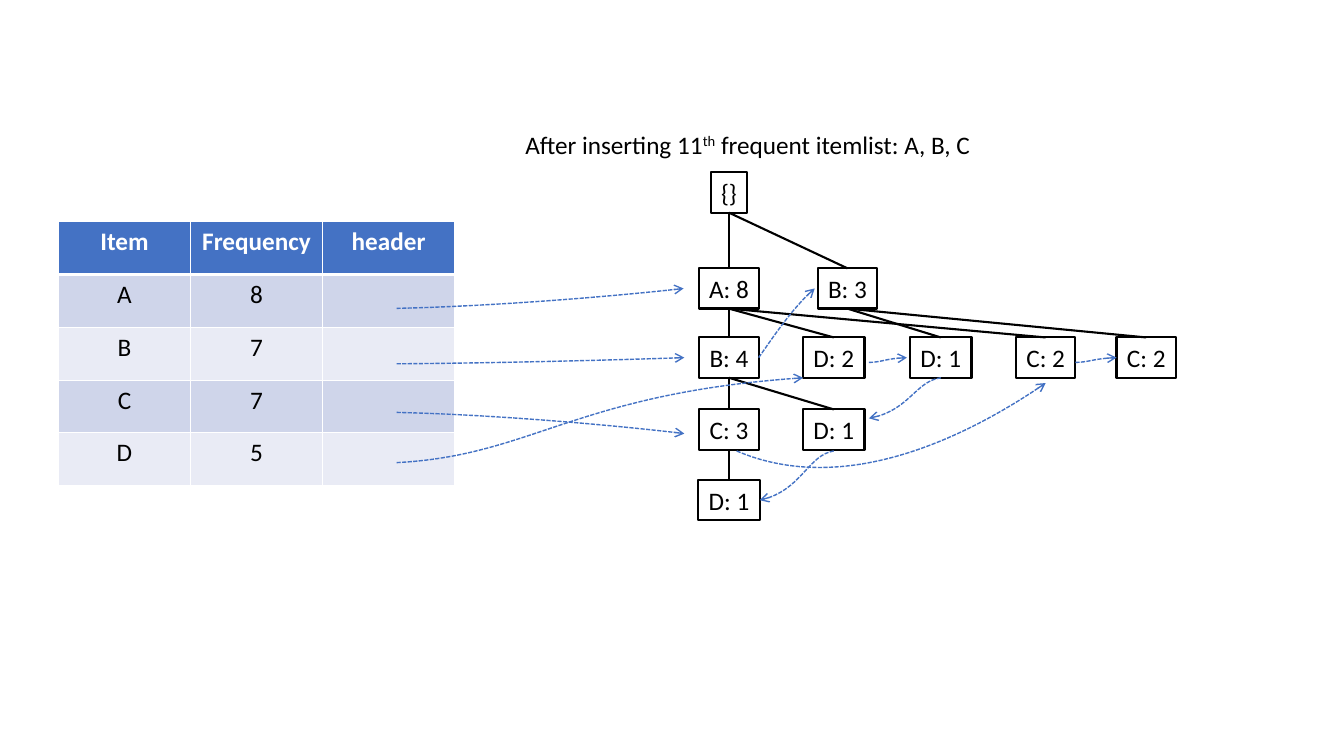
from collections import namedtuple

from lxml.etree import SubElement
from pptx import Presentation
from pptx.dml.color import RGBColor
from pptx.enum.dml import MSO_LINE
from pptx.enum.shapes import MSO_CONNECTOR
from pptx.enum.text import MSO_ANCHOR, MSO_AUTO_SIZE, PP_ALIGN
from pptx.oxml.ns import qn
from pptx.util import Inches, Pt

Box = namedtuple("Box", "left top width height")

BLACK, WHITE, BLUE = "000000", "FFFFFF", "4472C4"
BANDS = ("CFD5EA", "E9EBF5")
TOP, BOTTOM = 0, 2  # connection sites of a rectangle

CAPTION_BOX = Box(5.11, 1.23, 4.69, 0.4)
TABLE_BOX = Box(0.58, 2.2, 3.93, 2.62)
TREE_BOX = Box(6.93, 1.71, 4.74, 3.45)

FREQUENCIES = [("Item", "Frequency", "header"),
               ("A", "8", ""), ("B", "7", ""), ("C", "7", ""), ("D", "5", "")]

# Tree grid: distance between columns and rows, and node sizes by first letter
COLUMN, ROW, NODE_HEIGHT = 1.04, 0.7, 0.4
NODE_WIDTHS = {"{": 0.36, "A": 0.6, "B": 0.59, "C": 0.59, "D": 0.61}
# item path: (label, column, row, parent)
NODES = {
    "root": ("{}", 0, 0, None),
    "A": ("A: 8", 0, 1.36, "root"), "B": ("B: 3", 1.13, 1.36, "root"),
    "AB": ("B: 4", 0, 2.34, "A"), "AD": ("D: 2", 1, 2.34, "A"),
    "BD": ("D: 1", 2.02, 2.34, "B"), "AC": ("C: 2", 3.02, 2.34, "A"),
    "BC": ("C: 2", 3.98, 2.34, "B"),
    "ABC": ("C: 3", 0, 3.36, "AB"), "ABD": ("D: 1", 1, 3.36, "AB"),
    "ABCD": ("D: 1", 0, 4.36, "ABC"),
}

# Control points as shares of the way from start to end
S_BEND = ((0.33, 0.08), (0.44, 0.82))
SLIGHT_BEND = ((0.33, 0.1), (0.77, 0.62))
STEEP_BEND = ((0.22, 0.25), (0.6, 0.72))
DEEP_BEND = ((0.36, -0.7), (0.79, 0.34))

# (row within the table, node, share of the node's box, bend)
HEADER_LINKS = [
    (1.64, "A", (-0.25, 0.5), SLIGHT_BEND), (2.69, "AB", (-0.25, 0.5), SLIGHT_BEND),
    (3.61, "ABC", (-0.25, 0.6), SLIGHT_BEND), (4.56, "AD", (0, 1), S_BEND),
]
# (node, share of its box, next node, share of its box, bend)
ITEM_LINKS = [
    ("AB", (1, 0.5), "B", (-0.05, 0.5), STEEP_BEND),
    ("ABC", (0.63, 1.03), "AC", (0.5, 1.13), DEEP_BEND),
    ("AC", (1, 0.62), "BC", (0, 0.5), S_BEND),
    ("AD", (1.07, 0.62), "BD", (-0.05, 0.5), S_BEND),
    ("BD", (0.5, 1), "ABD", (1.07, 0.22), S_BEND),
    ("ABD", (0.5, 1.03), "ABCD", (1, 0.5), S_BEND),
]

def color(value):
    """Turn a hex string into a colour."""
    return RGBColor.from_string(value)

def emu(box):
    """Turn a box in inches into lengths for python-pptx."""
    return [Inches(length) for length in box]

def point_in(box, share):
    """Find the point at a share of a box's width and height."""
    return (box.left + share[0] * box.width, box.top + share[1] * box.height)

def style_text(paragraph, value=BLACK, bold=False):
    """Give a paragraph the slide's font."""
    font = paragraph.font
    font.name, font.size, font.bold = "Calibri", Pt(18), bold
    font.color.rgb = color(value)

def add_caption(slide, box):
    """Write the heading with its raised ordinal ending."""
    caption = slide.shapes.title
    caption.left, caption.top, caption.width, caption.height = emu(box)
    frame = caption.text_frame
    frame.word_wrap = False
    frame.auto_size = MSO_AUTO_SIZE.NONE
    frame.vertical_anchor = MSO_ANCHOR.TOP
    paragraph = frame.paragraphs[0]
    paragraph.alignment = PP_ALIGN.LEFT
    style_text(paragraph)
    for text in ("After inserting 11", "th", " frequent itemlist: A, B, C"):
        run = paragraph.add_run()
        run.text = text
        if text == "th":
            run._r.get_or_add_rPr().set("baseline", "30000")

def add_frequency_table(slide, box):
    """Fill the item table, with banded rows under a blue heading."""
    table = slide.shapes.add_table(len(FREQUENCIES), len(FREQUENCIES[0]), *emu(box)).table
    for row, values in enumerate(FREQUENCIES):
        heading = row == 0
        for column, value in enumerate(values):
            cell = table.cell(row, column)
            if heading:
                properties = cell._tc.get_or_add_tcPr()
                rule = SubElement(properties, qn("a:lnB"), w=str(Pt(3)))
                SubElement(SubElement(rule, qn("a:solidFill")), qn("a:srgbClr"), val=WHITE)
            cell.fill.solid()
            cell.fill.fore_color.rgb = color(BLUE if heading else BANDS[(row - 1) % 2])
            cell.text = value
            paragraph = cell.text_frame.paragraphs[0]
            paragraph.alignment = PP_ALIGN.CENTER
            style_text(paragraph, WHITE if heading else BLACK, heading)

def add_node(slide, box, label):
    """Add one outlined tree node, with room for its label on one line."""
    node = slide.shapes.add_textbox(*emu(box))
    node.line.color.rgb = color(BLACK)
    node.line.width = Pt(1.5)
    frame = node.text_frame
    frame.word_wrap = False
    frame.auto_size = MSO_AUTO_SIZE.NONE
    frame.margin_left = frame.margin_right = Inches(0.05)
    frame.text = label
    frame.paragraphs[0].alignment = PP_ALIGN.CENTER
    style_text(frame.paragraphs[0])
    return node

def add_branch(slide, parent, child):
    """Join a parent's bottom to a child's top."""
    branch = slide.shapes.add_connector(MSO_CONNECTOR.STRAIGHT, 0, 0, 0, 0)
    branch.begin_connect(parent, BOTTOM)
    branch.end_connect(child, TOP)
    branch.line.color.rgb = color(BLACK)
    branch.line.width = Pt(1.5)
    SubElement(branch.element.spPr, qn("a:effectLst"))

def add_tree(slide, box):
    """Draw the prefix tree and return the box of every node."""
    places, nodes = {}, {}
    for key, (label, column, row, parent) in NODES.items():
        width = NODE_WIDTHS[label[0]]
        left = box.left + column * COLUMN + (NODE_WIDTHS["A"] - width) / 2
        places[key] = Box(left, box.top + row * ROW, width, NODE_HEIGHT)
        nodes[key] = add_node(slide, places[key], label)
        if parent:
            add_branch(slide, nodes[parent], nodes[key])
    return places

def add_link(slide, start, end, bend):
    """Draw a dashed cubic curve with an arrowhead at its end."""
    controls = [tuple(a + share * (b - a) for a, b, share in zip(start, end, shares))
                for shares in bend]
    corners = [tuple(emu(point)) for point in (start, *controls, end)]

    def along(t):
        """Find the point of the curve at the share t."""
        weights = ((1 - t) ** 3, 3 * t * (1 - t) ** 2, 3 * t * t * (1 - t), t ** 3)
        return tuple(round(sum(w * v for w, v in zip(weights, axis))) for axis in zip(*corners))

    # Points on the curve give the shape its extent; the path is then one cubic
    builder = slide.shapes.build_freeform(*corners[0])
    builder.add_line_segments([along(step / 20) for step in range(1, 21)], close=False)
    link = builder.convert_to_shape()
    outline = next(link.element.iter(qn("a:path")))
    for segment in list(outline):
        outline.remove(segment)
    for tag, points in (("a:moveTo", corners[:1]), ("a:cubicBezTo", corners[1:])):
        segment = SubElement(outline, qn(tag))
        for x, y in points:
            SubElement(segment, qn("a:pt"), x=str(x - link.left), y=str(y - link.top))
    link.shadow.inherit = False
    link.fill.background()
    link.line.color.rgb = color(BLUE)
    link.line.width = Pt(1)
    link.line.dash_style = MSO_LINE.SQUARE_DOT
    SubElement(link.element.spPr.find(qn("a:ln")), qn("a:tailEnd"), type="arrow")

def add_links(slide, table_box, places):
    """Chain each header cell to its item's nodes."""
    for row, node, share, bend in HEADER_LINKS:
        start = point_in(table_box, (2.56 / 3, row / len(FREQUENCIES)))
        add_link(slide, start, point_in(places[node], share), bend)
    for node, share, following, end_share, bend in ITEM_LINKS:
        add_link(slide, point_in(places[node], share),
                 point_in(places[following], end_share), bend)

presentation = Presentation()
presentation.slide_width, presentation.slide_height = Inches(13.33), Inches(7.5)
tree_slide = presentation.slides.add_slide(presentation.slide_layouts[5])
add_caption(tree_slide, CAPTION_BOX)
add_frequency_table(tree_slide, TABLE_BOX)
add_links(tree_slide, TABLE_BOX, add_tree(tree_slide, TREE_BOX))
presentation.save("out.pptx")
